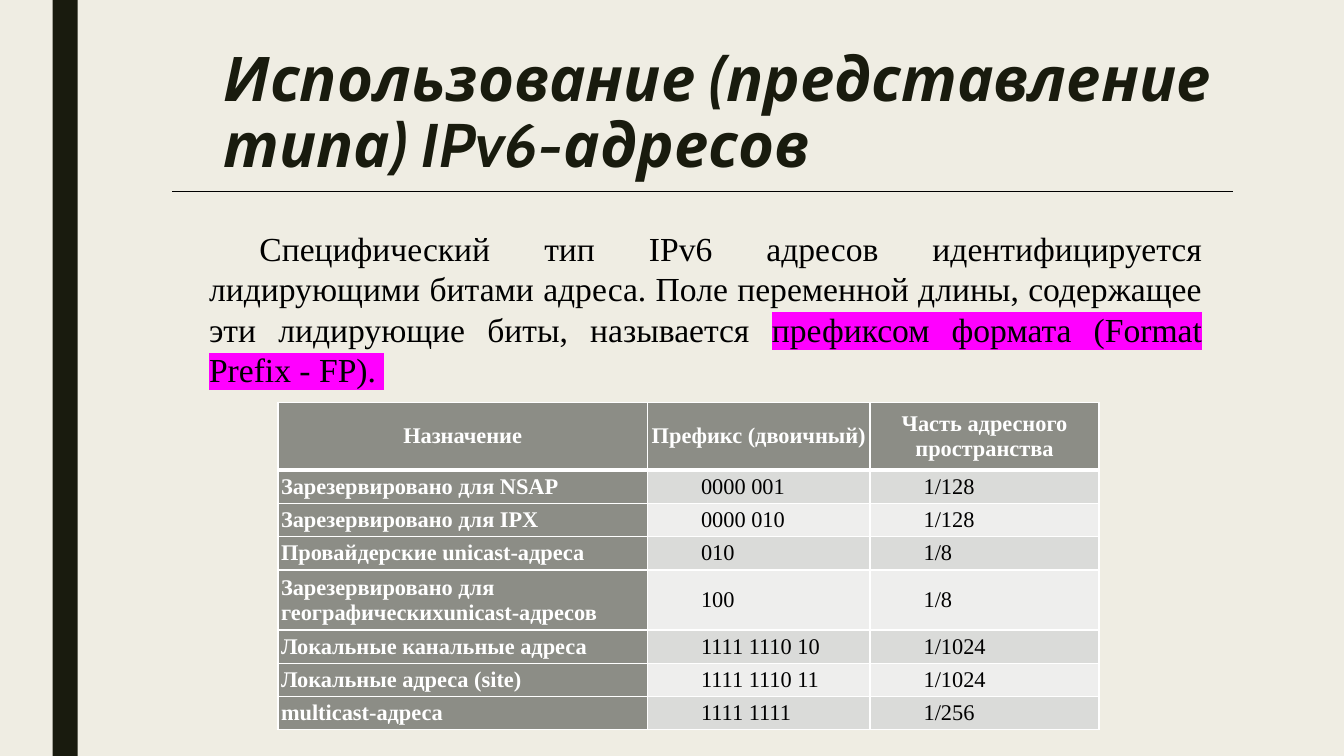
"""Build the slide on IPv6 address types and their format prefixes."""
from lxml.etree import SubElement
from pptx import Presentation
from pptx.dml.color import RGBColor
from pptx.enum.shapes import MSO_CONNECTOR as Connector, MSO_SHAPE as Shape
from pptx.enum.text import MSO_ANCHOR as Anchor, MSO_AUTO_SIZE as AutoSize, PP_ALIGN as Align
from pptx.oxml.ns import qn
from pptx.util import Pt

CREAM = RGBColor(0xEF, 0xED, 0xE3)
DARK = RGBColor(0x19, 0x1B, 0x0E)
BLACK = RGBColor(0x00, 0x00, 0x00)
WHITE = RGBColor(0xFF, 0xFF, 0xFF)
MAGENTA = RGBColor(0xFF, 0x00, 0xFF)
HEADING = RGBColor(0x8C, 0x8D, 0x86)
BAND_DARK = RGBColor(0xDA, 0xDB, 0xD9)
BAND_LIGHT = RGBColor(0xEE, 0xEE, 0xED)

INTRO = ("Специфический тип IPv6 адресов идентифицируется лидирующими битами адреса. "
         "Поле переменной длины, содержащее эти лидирующие биты, называется ")
PREFIXES = [
    ("Назначение", "Префикс (двоичный)", "Часть адресного пространства"),
    ("Зарезервировано для NSAP", "0000 001", "1/128"),
    ("Зарезервировано для IPX", "0000 010", "1/128"),
    ("Провайдерские unicast-адреса", "010", "1/8"),
    ("Зарезервировано для географическихunicast-адресов", "100", "1/8"),
    ("Локальные канальные адреса", "1111 1110 10", "1/1024"),
    ("Локальные адреса (site)", "1111 1110 11", "1/1024"),
    ("multicast-адреса", "1111 1111", "1/256"),
]


def write(paragraph, text, size=16, font="Times New Roman", color=BLACK, bold=False,
          italic=False, align=Align.LEFT, indent=0, spacing=None, highlight=None):
    """Add a formatted run to the paragraph."""
    paragraph.alignment = align
    if spacing:
        paragraph.line_spacing = spacing
    if indent:
        properties = paragraph._p.get_or_add_pPr()
        properties.set("marL", "0")
        properties.set("indent", str(Pt(indent)))
    run = paragraph.add_run()
    run.text = text
    run.font.size, run.font.name = Pt(size), font
    run.font.bold, run.font.italic = bold, italic
    run.font.color.rgb = color
    if highlight is not None:
        properties = run._r.get_or_add_rPr()
        marker = SubElement(properties, qn("a:highlight"))
        SubElement(marker, qn("a:srgbClr"), val=str(highlight))
        properties.find(qn("a:solidFill")).addnext(marker)


class PrefixSlide:
    """Hold the deck style and draw elements on the current slide."""

    def __init__(self, deck):
        """Add a slide with a title and a plain background."""
        self.slide = deck.slides.add_slide(deck.slide_layouts[5])
        self.shapes = self.slide.shapes
        self.slide.background.fill.solid()
        self.slide.background.fill.fore_color.rgb = CREAM

    def bar(self, left, top, width, height):
        """Draw the dark side bar."""
        bar = self.shapes.add_shape(Shape.RECTANGLE, Pt(left), Pt(top), Pt(width), Pt(height))
        bar.shadow.inherit = False
        bar.fill.solid()
        bar.fill.fore_color.rgb = DARK
        bar.line.fill.background()

    def title(self, text, left, top, width, height):
        """Place and format the title."""
        title = self.shapes.title
        title.left, title.top, title.width, title.height = map(Pt, (left, top, width, height))
        frame = title.text_frame
        frame.word_wrap, frame.auto_size = True, AutoSize.NONE
        frame.vertical_anchor = Anchor.TOP
        write(frame.paragraphs[0], text, size=44, font="Cabin", color=DARK, bold=True,
              italic=True, spacing=0.89)

    def rule(self, left, right, y):
        """Draw the line under the title."""
        rule = self.shapes.add_connector(Connector.STRAIGHT, Pt(left), Pt(y), Pt(right), Pt(y))
        rule.line.color.rgb = BLACK
        rule.line.width = Pt(0.75)
        SubElement(rule._element.spPr, qn("a:effectLst"))

    def body(self, text, term, left, top, width, height):
        """Add a justified paragraph that ends in a highlighted term."""
        frame = self.shapes.add_textbox(Pt(left), Pt(top), Pt(width), Pt(height)).text_frame
        frame.word_wrap, frame.auto_size = True, AutoSize.SHAPE_TO_FIT_TEXT
        frame.vertical_anchor = Anchor.MIDDLE
        style = dict(size=24, align=Align.JUSTIFY, indent=36)
        write(frame.paragraphs[0], text, **style)
        write(frame.paragraphs[0], term, highlight=MAGENTA, **style)

    def cell(self, cell, text, row, column):
        """Fill, border and write one table cell."""
        widths = dict(L=1, R=1, T=3 if row == 1 else 1, B=3 if row == 0 else 1)
        properties = cell._tc.get_or_add_tcPr()
        for side, width in widths.items():
            border = SubElement(properties, qn(f"a:ln{side}"), w=str(Pt(width)))
            SubElement(SubElement(border, qn("a:solidFill")), qn("a:srgbClr"), val=str(WHITE))
        heading = row == 0 or column == 0
        band = BAND_DARK if row % 2 else BAND_LIGHT
        cell.fill.solid()
        cell.fill.fore_color.rgb = HEADING if heading else band
        cell.margin_left = cell.margin_right = cell.margin_top = cell.margin_bottom = Pt(2.25)
        cell.vertical_anchor = Anchor.MIDDLE
        write(cell.text_frame.paragraphs[0], text, color=WHITE if heading else BLACK,
              bold=heading, align=Align.LEFT if row else Align.CENTER,
              indent=0 if heading else 36)

    def table(self, rows, left, top, widths, heights):
        """Add the table of prefixes."""
        table = self.shapes.add_table(len(rows), len(widths), Pt(left), Pt(top),
                                      Pt(sum(widths)), Pt(sum(heights))).table
        for column, width in zip(table.columns, widths):
            column.width = Pt(width)
        for line, height in zip(table.rows, heights):
            line.height = Pt(height)
        for row, texts in enumerate(rows):
            for column, text in enumerate(texts):
                self.cell(table.cell(row, column), text, row, column)


def main():
    """Build and save the deck."""
    deck = Presentation()
    deck.slide_width, deck.slide_height = Pt(960), Pt(540)
    page = PrefixSlide(deck)
    page.bar(37.5, 0, 18, 540)
    page.title("Использование (представление типа) IPv6-адресов", 152.5, 31.5, 727.5, 57)
    page.rule(123, 880.5, 136.75)
    page.body(INTRO, "префиксом формата (Format Prefix - FP). ", 142.25, 158.5, 723.5, 124)
    page.table(PREFIXES, 198.5, 287.5, [264, 159, 163.5],
               [48.5] + [23.75] * 3 + [42.75] + [23.75] * 3)
    deck.save("out.pptx")


if __name__ == "__main__":
    main()
